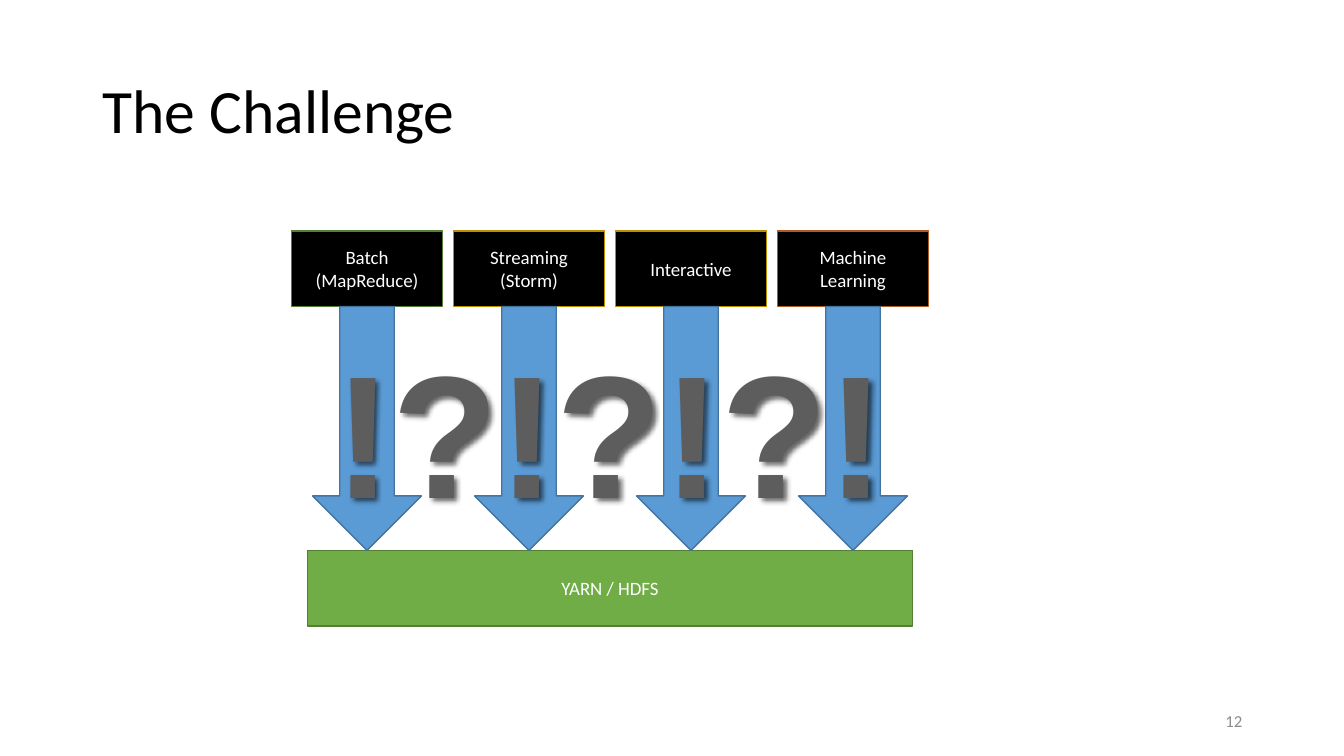
from dataclasses import dataclass
from typing import Any

from lxml import etree
from pptx import Presentation
from pptx import util as u
from pptx.dml.color import RGBColor
from pptx.enum import shapes, text
from pptx.oxml import ns

BLACK = RGBColor(0x00, 0x00, 0x00)
WHITE = RGBColor(0xFF, 0xFF, 0xFF)
GRAY = RGBColor(0x8C, 0x8C, 0x8C)
DARK_GRAY = RGBColor(0x5D, 0x5D, 0x5D)
GREEN = RGBColor(0x70, 0xAD, 0x47)
DARK_GREEN = RGBColor(0x53, 0x80, 0x35)
GOLD = RGBColor(0xBD, 0x8E, 0x00)
RUST = RGBColor(0xAF, 0x5C, 0x24)
BLUE = RGBColor(0x5B, 0x9B, 0xD5)
DARK_BLUE = RGBColor(0x43, 0x73, 0x9E)

LEFT, TOP, SPAN = 2.89, 2.29, 6.32
BOX_WIDTH, BOX_HEIGHT = 1.5, 0.75
ARROW_WIDTH, ARROW_HEIGHT = 1.08, 2.42
ARROW_TOP = TOP + BOX_HEIGHT
PLATFORM_TOP = ARROW_TOP + ARROW_HEIGHT


@dataclass(frozen=True)
class Area:
    left: float
    top: float
    width: float
    height: float

    def lengths(self) -> list[u.Length]:
        return [u.Inches(n) for n in (self.left, self.top, self.width, self.height)]


@dataclass(frozen=True)
class Style:
    size: float
    color: RGBColor
    align: text.PP_ALIGN = text.PP_ALIGN.CENTER
    font: str = "Calibri"
    bold: bool = False
    spacing: float = 1.0


@dataclass(frozen=True)
class Workload:
    label: str
    border: RGBColor


BOX_STYLE = Style(13.5, WHITE)
WORKLOADS = [
    Workload("Batch\n(MapReduce)", DARK_GREEN),
    Workload("Streaming\n(Storm)", GOLD),
    Workload("Interactive", GOLD),
    Workload("Machine\nLearning", RUST),
]


def apply(target: Any, values: dict[str, Any]) -> None:
    for name, value in values.items():
        setattr(target, name, value)


def write(frame: Any, wording: str, style: Style) -> None:
    apply(frame, {"word_wrap": True, "vertical_anchor": text.MSO_ANCHOR.MIDDLE})
    frame.text = wording
    for paragraph in frame.paragraphs:
        apply(paragraph, {"alignment": style.align, "line_spacing": style.spacing})
        for run in paragraph.runs:
            apply(run.font, {"name": style.font, "size": u.Pt(style.size), "bold": style.bold})
            run.font.color.rgb = style.color


def add_label(slide: Any, area: Area, wording: str, style: Style) -> Any:
    label = slide.shapes.add_textbox(*area.lengths())
    write(label.text_frame, wording, style)
    return label


def add_block(slide: Any, kind: shapes.MSO_SHAPE, area: Area, fill: RGBColor,
              border: RGBColor, wording: str = "") -> None:
    block = slide.shapes.add_shape(kind, *area.lengths())
    block.shadow.inherit = False
    block.fill.solid()
    block.fill.fore_color.rgb = fill
    block.line.color.rgb = border
    block.line.width = u.Pt(1)
    if wording:
        write(block.text_frame, wording, BOX_STYLE)


def add_shadow(label: Any) -> None:
    effects = etree.SubElement(label.element.spPr, ns.qn("a:effectLst"))
    shadow = etree.SubElement(effects, ns.qn("a:outerShdw"),
                              blurRad="50800", dist="38100", dir="2700000", algn="tl")
    color = etree.SubElement(shadow, ns.qn("a:srgbClr"), val="000000")
    etree.SubElement(color, ns.qn("a:alpha"), val="60000")


def main() -> None:
    deck = Presentation()
    apply(deck, {"slide_width": u.Inches(13.33), "slide_height": u.Inches(7.5)})
    slide = deck.slides.add_slide(deck.slide_layouts[6])

    add_label(slide, Area(0.92, 0.4, 11.5, 1.45), "The Challenge",
              Style(44, BLACK, text.PP_ALIGN.LEFT, spacing=0.9))
    add_label(slide, Area(9.42, 6.95, 3, 0.4), "12", Style(12, GRAY, text.PP_ALIGN.RIGHT))
    add_block(slide, shapes.MSO_SHAPE.RECTANGLE, Area(3.05, PLATFORM_TOP, 6, BOX_HEIGHT),
              GREEN, DARK_GREEN, "YARN / HDFS")

    pitch = (SPAN - BOX_WIDTH) / (len(WORKLOADS) - 1)
    for index, workload in enumerate(WORKLOADS):
        left = LEFT + index * pitch
        arrow_left = left + (BOX_WIDTH - ARROW_WIDTH) / 2
        add_block(slide, shapes.MSO_SHAPE.RECTANGLE, Area(left, TOP, BOX_WIDTH, BOX_HEIGHT),
                  BLACK, workload.border, workload.label)
        add_block(slide, shapes.MSO_SHAPE.DOWN_ARROW,
                  Area(arrow_left, ARROW_TOP, ARROW_WIDTH, ARROW_HEIGHT), BLUE, DARK_BLUE)

    doubts = add_label(slide, Area(LEFT, ARROW_TOP, SPAN, ARROW_HEIGHT), "!?!?!?!",
                       Style(124.5, DARK_GRAY, font="Arial", bold=True))
    add_shadow(doubts)
    deck.save("out.pptx")


if __name__ == "__main__":
    main()
